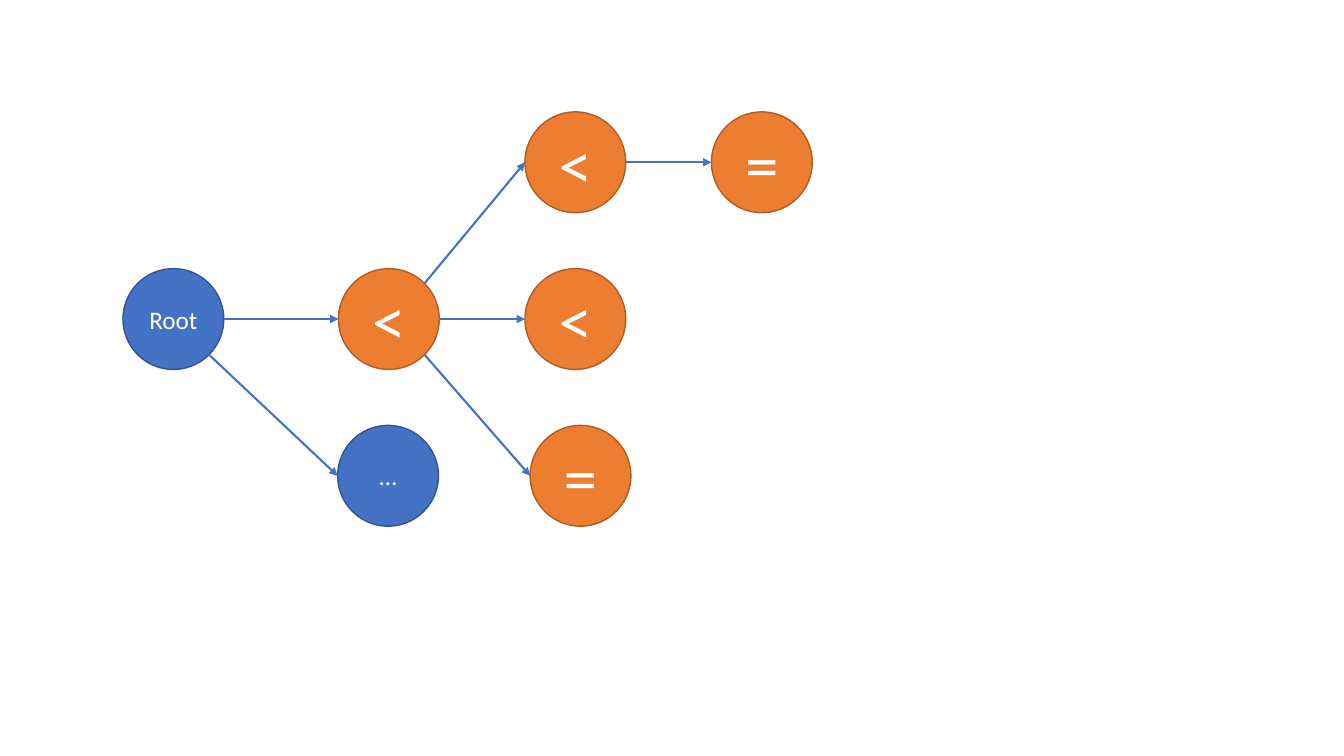
from dataclasses import dataclass
from enum import IntEnum
from math import cos, radians, sin

from lxml.etree import SubElement
from pptx import Presentation
from pptx.dml.color import RGBColor
from pptx.enum.shapes import MSO_CONNECTOR, MSO_SHAPE
from pptx.enum.text import MSO_ANCHOR, PP_ALIGN
from pptx.oxml.ns import qn
from pptx.shapes.autoshape import Shape
from pptx.slide import Slide
from pptx.util import Cm, Length, Pt


@dataclass(frozen=True)
class NodeStyle:
    fill: RGBColor
    outline: RGBColor
    text_size: Length


@dataclass(frozen=True)
class Theme:
    plain: NodeStyle = NodeStyle(
        RGBColor(0x44, 0x72, 0xC4), RGBColor(0x32, 0x54, 0x91), Pt(18))
    operator: NodeStyle = NodeStyle(
        RGBColor(0xED, 0x7D, 0x31), RGBColor(0xAF, 0x5C, 0x24), Pt(48))
    text: RGBColor = RGBColor(0xFF, 0xFF, 0xFF)
    arrow: RGBColor = RGBColor(0x44, 0x72, 0xC4)
    font: str = "Calibri"
    outline_width: Length = Pt(1)
    arrow_width: Length = Pt(1.5)


@dataclass(frozen=True)
class Node:
    label: str
    left: float
    row: int
    style: NodeStyle


class Site(IntEnum):
    """Connection sites of an ellipse, counted counterclockwise from the top."""
    LEFT = 2
    LOWER_RIGHT = 5
    RIGHT = 6
    UPPER_RIGHT = 7


@dataclass(frozen=True)
class Edge:
    parent: str
    child: str
    site: Site = Site.RIGHT


THEME = Theme()

# Grid of the tree, in centimetres
DIAMETER = 2.54
FIRST_ROW, ROW_STEP = 2.82, 3.95
ROOT_LEFT, FIRST_LEFT, COLUMN_STEP = 3.1, 8.53, 4.7
SECOND_LEFT, THIRD_LEFT = (FIRST_LEFT + COLUMN_STEP * step for step in (1, 2))

NODES = {
    "root": Node("Root", ROOT_LEFT, 1, THEME.plain),
    "first": Node("<", FIRST_LEFT, 1, THEME.operator),
    "upper": Node("<", SECOND_LEFT, 0, THEME.operator),
    "upper leaf": Node("=", THIRD_LEFT, 0, THEME.operator),
    "middle": Node("<", SECOND_LEFT, 1, THEME.operator),
    "lower": Node("=", SECOND_LEFT + 0.13, 2, THEME.operator),
    "others": Node("…", FIRST_LEFT - 0.02, 2, THEME.plain),
}
EDGES = (
    Edge("root", "first"),
    Edge("upper", "upper leaf"),
    Edge("first", "upper", Site.UPPER_RIGHT),
    Edge("first", "middle"),
    Edge("first", "lower", Site.LOWER_RIGHT),
    Edge("root", "others", Site.LOWER_RIGHT),
)


def apply_format(target: object, values: dict[str, object]) -> None:
    for name, value in values.items():
        setattr(target, name, value)


def draw_node(page: Slide, node: Node) -> Shape:
    circle = page.shapes.add_shape(
        MSO_SHAPE.OVAL, Cm(node.left), Cm(FIRST_ROW + ROW_STEP * node.row),
        Cm(DIAMETER), Cm(DIAMETER))
    circle.shadow.inherit = False
    circle.fill.solid()
    circle.fill.fore_color.rgb = node.style.fill
    circle.line.color.rgb = node.style.outline
    circle.line.width = THEME.outline_width

    frame = circle.text_frame
    frame.vertical_anchor = MSO_ANCHOR.MIDDLE
    para = frame.paragraphs[0]
    para.alignment = PP_ALIGN.CENTER
    span = para.add_run()
    span.text = node.label
    apply_format(span.font, {"name": THEME.font, "size": node.style.text_size})
    span.font.color.rgb = THEME.text
    return circle


def site_point(circle: Shape, site: Site) -> tuple[Length, Length]:
    angle = radians(90 + 45 * site)
    radius = circle.width / 2
    return (Length(round(circle.left + radius * (1 + cos(angle)))),
            Length(round(circle.top + radius * (1 - sin(angle)))))


def draw_edge(page: Slide, circles: dict[str, Shape], edge: Edge) -> None:
    parent, child = circles[edge.parent], circles[edge.child]
    arrow = page.shapes.add_connector(
        MSO_CONNECTOR.STRAIGHT,
        *site_point(parent, edge.site), *site_point(child, Site.LEFT))
    arrow.line.color.rgb = THEME.arrow
    arrow.line.width = THEME.arrow_width

    # Arrowhead, no shadow, and links to both circles
    SubElement(arrow.line._get_or_add_ln(), qn("a:tailEnd"), type="triangle")
    SubElement(arrow._element.spPr, qn("a:effectLst"))
    links = arrow._element.find(".//" + qn("p:cNvCxnSpPr"))
    for tag, circle, site in (("a:stCxn", parent, edge.site),
                              ("a:endCxn", child, Site.LEFT)):
        SubElement(links, qn(tag), id=str(circle.shape_id), idx=str(int(site)))


# Deck and blank page
deck = Presentation()
apply_format(deck, {"slide_width": Cm(33.87), "slide_height": Cm(19.05)})
page = deck.slides.add_slide(deck.slide_layouts[6])

# Tree
circles = {name: draw_node(page, node) for name, node in NODES.items()}
for edge in EDGES:
    draw_edge(page, circles, edge)

deck.save("out.pptx")
